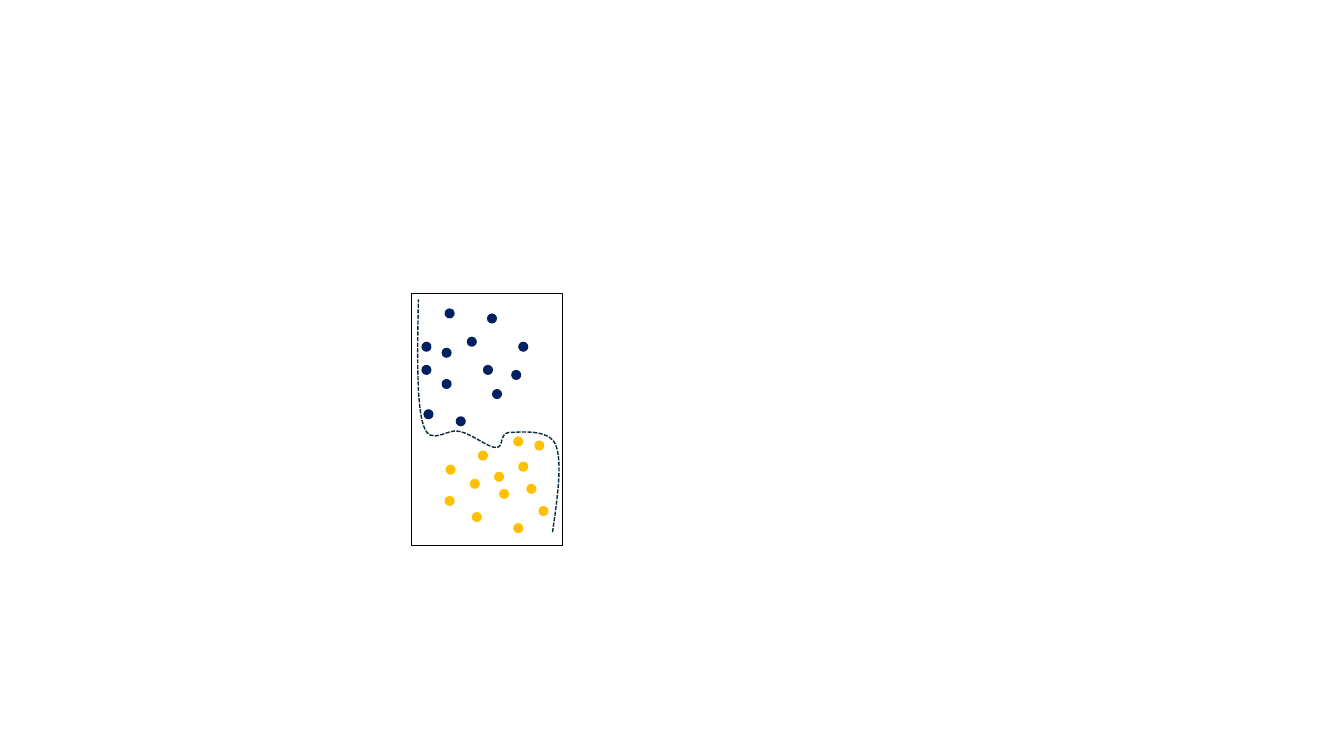
from pptx import Presentation
from pptx.dml.color import RGBColor
from pptx.enum.dml import MSO_LINE
from pptx.enum.shapes import MSO_SHAPE as SHAPE
from pptx.oxml.ns import qn
from pptx.oxml.xmlchemy import OxmlElement
from pptx.util import Inches, Pt

NAVY, GOLD, BLACK, TEAL = "002060", "FFC000", "000000", "092A39"
DOT = 0.1

NAVY_DOTS = [
    (4.63, 3.34), (5.07, 3.67), (5.14, 3.39), (4.79, 3.62), (4.83, 3.11),
    (4.41, 3.06), (4.38, 3.45), (4.18, 3.39), (4.52, 4.13), (4.38, 3.76),
    (4.88, 3.86), (4.18, 3.62), (4.2, 4.06),
]
GOLD_DOTS = [
    (5.14, 4.58), (5.3, 4.37), (4.68, 5.08), (5.22, 4.8), (4.66, 4.75),
    (4.95, 4.85), (4.74, 4.47), (5.09, 5.19), (5.34, 5.02), (4.41, 4.92),
    (4.42, 4.61), (4.9, 4.68), (5.09, 4.33),
]
BOUNDARY = [
    (5.48, 5.28),
    (5.53, 4.93), (5.58, 4.58), (5.51, 4.41),
    (5.44, 4.25), (5.15, 4.29), (5.05, 4.29),
    (4.95, 4.3), (5, 4.44), (4.92, 4.44),
    (4.84, 4.44), (4.69, 4.31), (4.56, 4.28),
    (4.44, 4.24), (4.27, 4.44), (4.2, 4.22),
    (4.13, 4.01), (4.14, 3.49), (4.15, 2.97),
]


def rgb(value):
    """Return the colour for a hex string."""
    return RGBColor.from_string(value)


def style_outline(sp, color):
    """Give a shape a thin outline without fill or shadow."""
    sp.shadow.inherit = False
    sp.fill.background()
    sp.line.color.rgb = rgb(color)
    sp.line.width = Pt(1)


def add_dots(shapes, places, color):
    """Add one round data point at each place."""
    for x, y in places:
        sp = shapes.add_shape(SHAPE.OVAL, Inches(x), Inches(y), Inches(DOT), Inches(DOT))
        sp.shadow.inherit = False
        sp.fill.solid()
        sp.fill.fore_color.rgb = rgb(color)
        sp.line.fill.background()


def add_frame(shapes, x, y, w, h):
    """Add the rectangle around the plot."""
    sp = shapes.add_shape(SHAPE.RECTANGLE, Inches(x), Inches(y), Inches(w), Inches(h))
    style_outline(sp, BLACK)


def add_curve(shapes, points, color):
    """Add a dashed cubic curve: a start, then two controls and an end per piece."""
    start, *rest = [(Inches(x), Inches(y)) for x, y in points]
    builder = shapes.build_freeform(*start)
    builder.add_line_segments(rest, close=False)
    sp = builder.convert_to_shape()
    outline = next(sp._element.iter(qn("a:path")))
    segments = outline.findall(qn("a:lnTo"))
    for i in range(0, len(segments), 3):
        bezier = OxmlElement("a:cubicBezTo")
        for segment in segments[i:i + 3]:
            bezier.append(segment[0])
            outline.remove(segment)
        outline.append(bezier)
    style_outline(sp, color)
    sp.line.dash_style = MSO_LINE.SQUARE_DOT


def main():
    """Build the slide with the two classes and their boundary."""
    prs = Presentation()
    prs.slide_width, prs.slide_height = Inches(13.33), Inches(7.5)
    slide = prs.slides.add_slide(prs.slide_layouts[6])
    plot = slide.shapes.add_group_shape().shapes
    add_dots(plot, NAVY_DOTS, NAVY)
    add_dots(plot, GOLD_DOTS, GOLD)
    add_frame(plot, 4.08, 2.91, 1.5, 2.5)
    add_curve(plot, BOUNDARY, TEAL)
    prs.save("out.pptx")


if __name__ == "__main__":
    main()
